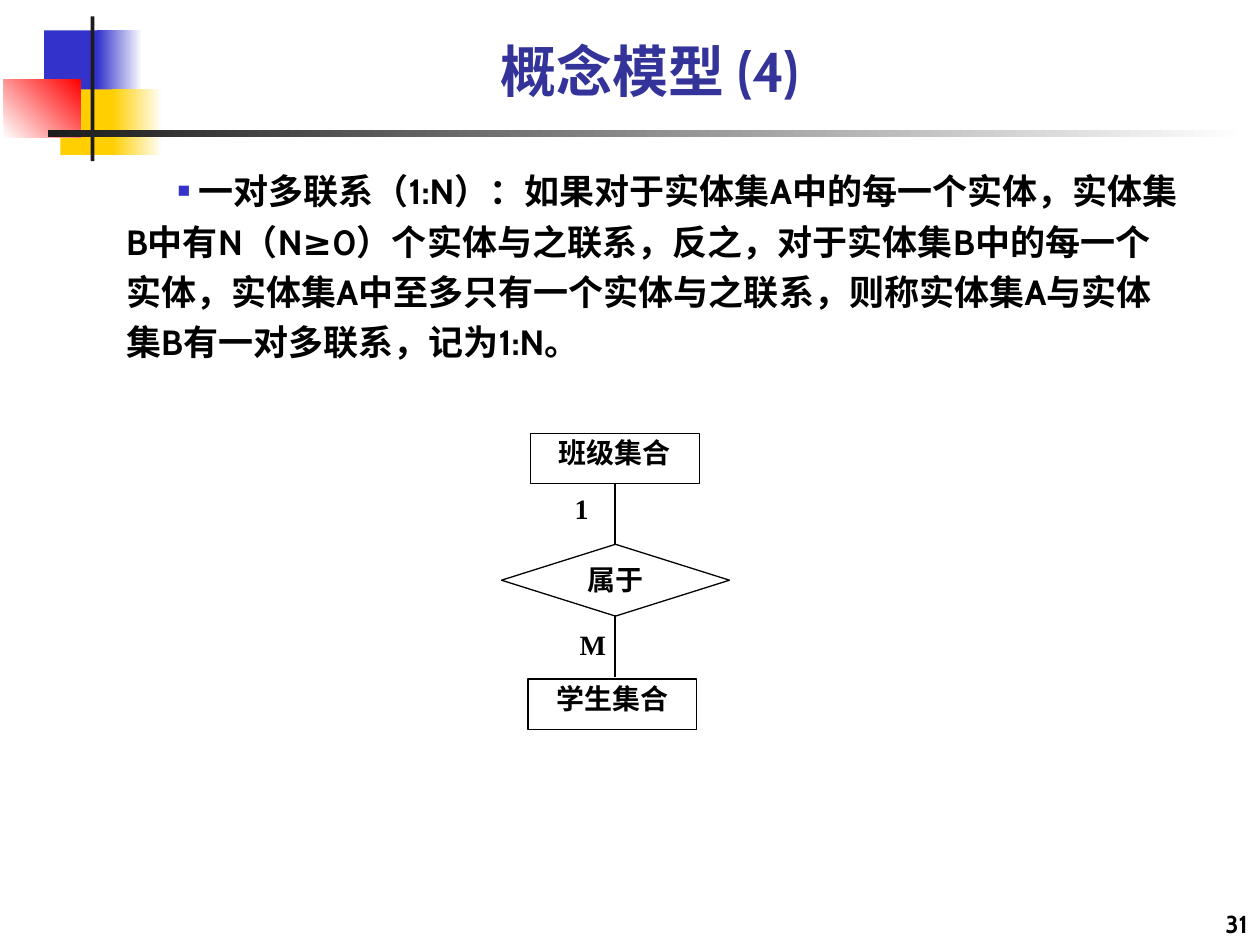
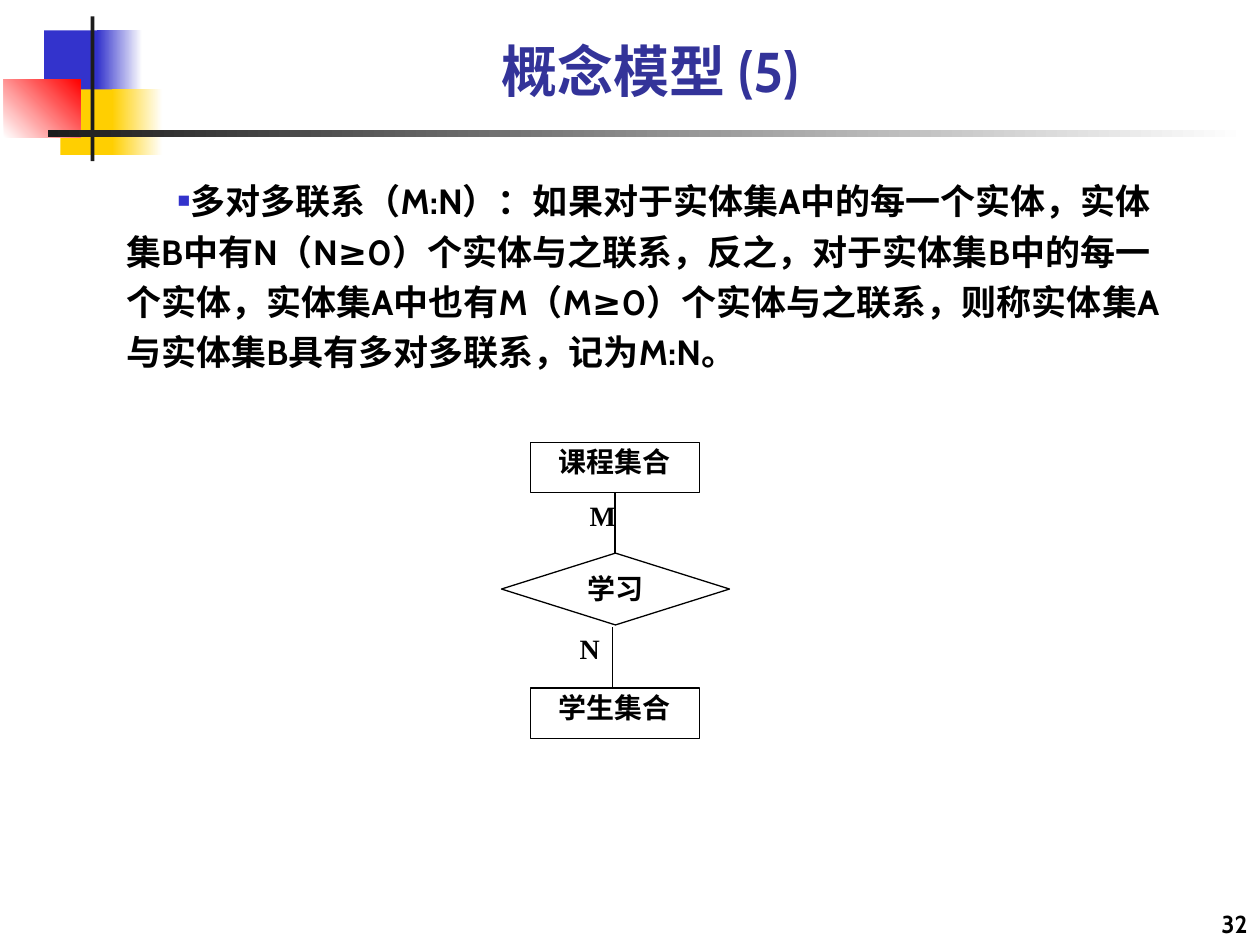
"""Build two slides on one-to-many and many-to-many relationships."""
from lxml.etree import SubElement
from pptx import Presentation
from pptx.dml.color import RGBColor
from pptx.enum.shapes import MSO_CONNECTOR, MSO_SHAPE
from pptx.enum.text import MSO_ANCHOR, PP_ALIGN
from pptx.oxml.ns import qn
from pptx.util import Inches, Pt

SLIDES = [
    {
        "title": "概念模型 (4)",
        "number": "31",
        "body": " 一对多联系（1:N）：如果对于实体集A中的每一个实体，实体集B中有N（N≥0）个实体与之联系，"
                "反之，对于实体集B中的每一个实体，实体集A中至多只有一个实体与之联系，"
                "则称实体集A与实体集B有一对多联系，记为1:N。",
        "body_top": 1.23, "body_height": 2.05, "diagram_top": 3.44,
        "entities": ["班级集合", "学生集合"], "entity_lefts": [4.21, 4.19],
        "relation": "属于",
        "labels": [("1", 4.56, 0.46), ("M", 4.6, 1.54)],
        "links": [(4.88, 0.39), (4.88, 1.44)],
    },
    {
        "title": "概念模型 (5)",
        "number": "32",
        "body": "多对多联系（M:N）：如果对于实体集A中的每一个实体，实体集B中有N（N≥0）个实体与之联系，"
                "反之，对于实体集B中的每一个实体，实体集A中也有M（M≥0）个实体与之联系，"
                "则称实体集A与实体集B具有多对多联系，记为M:N。",
        "body_top": 1.31, "body_height": 1.81, "diagram_top": 3.51,
        "entities": ["课程集合", "学生集合"], "entity_lefts": [4.21, 4.21],
        "relation": "学习",
        "labels": [("M", 4.68, 0.45), ("N", 4.6, 1.5)],
        "links": [(4.88, 0.4), (4.86, 1.47)],
    },
]

BLACK = RGBColor(0, 0, 0)
WHITE = RGBColor(255, 255, 255)
BLUE = RGBColor(0x33, 0x33, 0xCC)
NAVY = RGBColor(0x33, 0x33, 0x99)
YELLOW = RGBColor(0xFF, 0xCF, 0x01)
RED = RGBColor(0xFF, 0, 0)
DARK = RGBColor(0x1C, 0x1C, 0x1C)
SANS, SERIF = "Cabin", "Times New Roman"

BAND = [
    ((0.35, 0.24, 0.48, 0.52), [BLUE], 0),
    ((0.77, 0.24, 0.36, 0.52), [BLUE, WHITE], 0),
    ((0.48, 0.71, 0.46, 0.52), [YELLOW], 0),
    ((0.89, 0.71, 0.4, 0.52), [YELLOW, WHITE], 0),
    ((0.03, 0.63, 0.61, 0.46), [WHITE, RED], 45),
    ((0.72, 0.13, 0.03, 1.15), [DARK], 0),
    ((0.38, 1.03, 9.51, 0.06), [DARK, WHITE], 0),
]
ENTITY_SIZE = (1.34, 0.4)
ENTITY_STEP = 1.95
RELATION = (3.98, 0.88, 1.81, 0.57)
LINK_LENGTH = 0.49


def inches(*values):
    return [Inches(v) for v in values]


def place(sp, left, top, width, height):
    sp.left, sp.top, sp.width, sp.height = inches(left, top, width, height)


def set_text(sp, text, font, size, color=BLACK, align=PP_ALIGN.LEFT,
             anchor=MSO_ANCHOR.TOP, margins=(0, 0, 0, 0), wrap=True):
    tf = sp.text_frame
    tf.word_wrap = wrap
    tf.vertical_anchor = anchor
    (tf.margin_left, tf.margin_top,
     tf.margin_right, tf.margin_bottom) = inches(*margins)
    p = tf.paragraphs[0]
    p.alignment = align
    p.space_before = Pt(0)
    r = p.add_run()
    r.text = text
    r.font.name, r.font.size, r.font.bold = font, Pt(size), True
    r.font.color.rgb = color
    return p


def add_bullet(p):
    pPr = p._p.get_or_add_pPr()
    pPr.set("marL", "0")
    pPr.set("indent", str(Inches(0.41)))
    color = SubElement(pPr, qn("a:buClr"))
    SubElement(color, qn("a:srgbClr"), val=str(BLUE))
    SubElement(pPr, qn("a:buSzPct"), val="60000")
    SubElement(pPr, qn("a:buChar"), char="■")


def add_band(s, layout):
    for ph in list(layout.placeholders)[2:]:
        layout.shapes.element.remove(ph.element)
    band = []
    for box, colors, angle in BAND:
        sp = s.shapes.add_shape(MSO_SHAPE.RECTANGLE, *inches(*box))
        sp.shadow.inherit = False
        sp.line.fill.background()
        if len(colors) == 1:
            sp.fill.solid()
            sp.fill.fore_color.rgb = colors[0]
        else:
            sp.fill.gradient()
            sp.fill.gradient_angle = angle
            for stop, color in zip(sp.fill.gradient_stops, colors):
                stop.color.rgb = color
        band.append(sp)
    for sp in band:
        layout.shapes.element.append(sp.element)


def add_node(s, kind, box, text, inset):
    sp = s.shapes.add_shape(kind, *inches(*box))
    sp.shadow.inherit = False
    sp.fill.solid()
    sp.fill.fore_color.rgb = WHITE
    sp.line.color.rgb, sp.line.width = BLACK, Pt(0.75)
    set_text(sp, text, SERIF, 16, align=PP_ALIGN.CENTER,
             margins=(0, inset, 0, 0))


def add_diagram(s, data):
    top = data["diagram_top"]
    for i, (name, left) in enumerate(zip(data["entities"], data["entity_lefts"])):
        box = (left, top + i * ENTITY_STEP, *ENTITY_SIZE)
        add_node(s, MSO_SHAPE.RECTANGLE, box, name, 0.02)
    left, drop, width, height = RELATION
    add_node(s, MSO_SHAPE.DIAMOND, (left, top + drop, width, height),
             data["relation"], 0)
    for x, drop in data["links"]:
        y = top + drop
        line = s.shapes.add_connector(MSO_CONNECTOR.STRAIGHT,
                                      *inches(x, y, x, y + LINK_LENGTH))
        line.line.color.rgb, line.line.width = BLACK, Pt(0.75)
        SubElement(line.element.spPr, qn("a:effectLst"))
    for text, x, drop in data["labels"]:
        label = s.shapes.add_textbox(*inches(x, top + drop, 0.25, 0.4))
        set_text(label, text, SERIF, 16, wrap=False)


def add_slide(prs, layout, data):
    s = prs.slides.add_slide(layout)
    title, body = s.placeholders
    place(title, 0.9, 0, 8.52, 0.87)
    set_text(title, data["title"], SANS, 32, NAVY, PP_ALIGN.CENTER,
             MSO_ANCHOR.BOTTOM, (0.1, 0.05, 0.1, 0.05))
    place(body, 0.43, data["body_top"], 9.06, data["body_height"])
    p = set_text(body, data["body"], SANS, 20, margins=(0.57, 0.05, 0.13, 0.05))
    p.line_spacing = 1.2
    add_bullet(p)
    number = s.shapes.add_textbox(*inches(7.92, 7, 2.08, 0.5))
    set_text(number, data["number"], SANS, 14, align=PP_ALIGN.RIGHT,
             anchor=MSO_ANCHOR.BOTTOM, margins=(0.1, 0.05, 0.1, 0.05))
    add_diagram(s, data)
    return s


def main():
    prs = Presentation()
    prs.slide_width, prs.slide_height = inches(10, 7.5)
    layout = prs.slide_layouts[1]
    slides = [add_slide(prs, layout, data) for data in SLIDES]
    add_band(slides[0], layout)
    prs.save("out.pptx")


if __name__ == "__main__":
    main()
